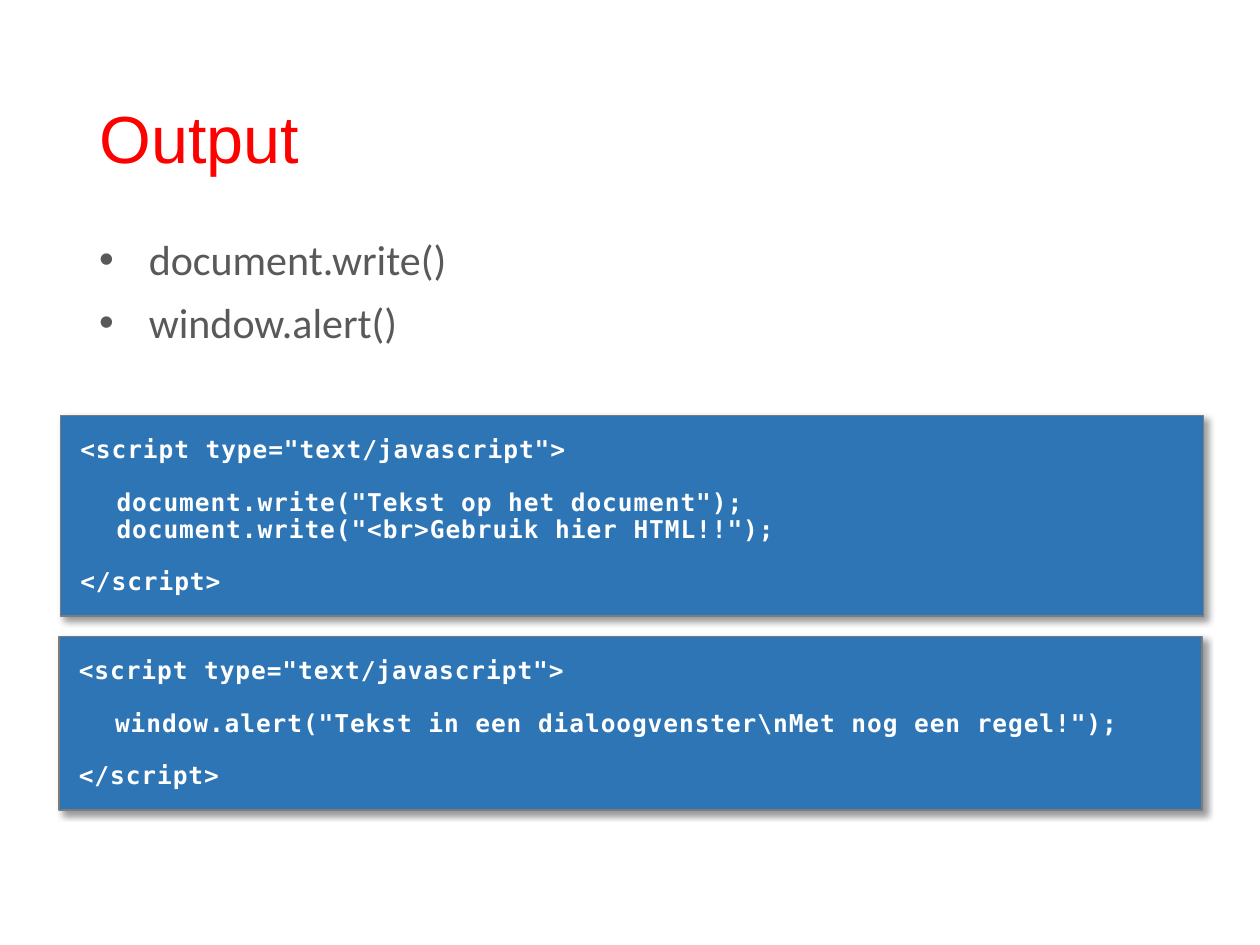
from lxml.etree import SubElement
from pptx import Presentation
from pptx.dml.color import RGBColor
from pptx.enum.shapes import MSO_SHAPE
from pptx.enum.text import MSO_ANCHOR, MSO_AUTO_SIZE, PP_ALIGN
from pptx.oxml.ns import qn
from pptx.util import Cm, Pt

RED = RGBColor(0xFF, 0x00, 0x00)
GREY = RGBColor(0x59, 0x59, 0x59)
BLUE = RGBColor(0x2E, 0x75, 0xB6)
EDGE = RGBColor(0x7C, 0x7C, 0x7C)
WHITE = RGBColor(0xFF, 0xFF, 0xFF)

OPEN, CLOSE = '<script type="text/javascript">', "</script>"
WRITE_LINES = [
    (OPEN, 0, 0),
    ('document.write("Tekst op het document");', 1, 15),
    ('document.write("<br>Gebruik hier HTML!!");', 1, 0),
    (CLOSE, 0, 15),
]
ALERT_LINES = [
    (OPEN, 0, 0),
    (r'window.alert("Tekst in een dialoogvenster\nMet nog een regel!");', 1, 15),
    (CLOSE, 0, 15),
]


def add_run(p, text, font, size, color, bold=False):
    """Add one formatted run to a paragraph."""
    p.line_spacing = 0.9
    r = p.add_run()
    r.text = text
    r.font.name = font
    r.font.size = Pt(size)
    r.font.bold = bold
    r.font.color.rgb = color
    return r


def next_paragraph(tf, i):
    """Return the first paragraph, or a new one after it."""
    return tf.add_paragraph() if i else tf.paragraphs[0]


def set_title(s, text):
    """Place and format the title placeholder."""
    title = s.shapes.title
    title.left, title.top = Cm(1.75), Cm(1.02)
    title.width, title.height = Cm(21.9), Cm(3.68)
    tf = title.text_frame
    tf.auto_size = MSO_AUTO_SIZE.NONE
    tf.vertical_anchor = MSO_ANCHOR.MIDDLE
    p = tf.paragraphs[0]
    p.alignment = PP_ALIGN.LEFT
    add_run(p, text, "Arial", 38, RED)


def add_bullets(s, items):
    """Add a text box with a bulleted list."""
    sp = s.shapes.add_textbox(Cm(1.75), Cm(4.7), Cm(21.9), Cm(5.33))
    tf = sp.text_frame
    tf.word_wrap = True
    for i, text in enumerate(items):
        p = next_paragraph(tf, i)
        p.space_before = Pt(10)
        add_run(p, text, "Calibri", 24, GREY)
        pPr = p._p.get_or_add_pPr()
        pPr.set("marL", str(Cm(1)))
        pPr.set("indent", str(-Cm(1)))
        SubElement(pPr, qn("a:buFont"), typeface="Arial")
        SubElement(pPr, qn("a:buChar"), char="•")


def add_shadow(sp):
    """Give a shape a soft shadow to the lower right."""
    sp.shadow.inherit = False
    effects = sp._element.spPr.find(qn("a:effectLst"))
    shadow = SubElement(effects, qn("a:outerShdw"), blurRad=str(Pt(4)),
                        dist=str(Pt(3)), dir="2700000", algn="tl", rotWithShape="0")
    color = SubElement(shadow, qn("a:srgbClr"), val="000000")
    SubElement(color, qn("a:alpha"), val="40000")


def add_code(s, left, top, height, lines):
    """Add a code panel from (text, indent level, space before) lines."""
    sp = s.shapes.add_shape(MSO_SHAPE.RECTANGLE, left, top, Cm(23.04), height)
    sp.fill.solid()
    sp.fill.fore_color.rgb = BLUE
    sp.line.color.rgb = EDGE
    sp.line.width = Pt(0.75)
    add_shadow(sp)
    tf = sp.text_frame
    tf.word_wrap = True
    tf.vertical_anchor = MSO_ANCHOR.BOTTOM
    tf.margin_left = tf.margin_right = tf.margin_top = tf.margin_bottom = Cm(0.4)
    for i, (text, level, gap) in enumerate(lines):
        p = next_paragraph(tf, i)
        p.alignment = PP_ALIGN.LEFT
        p.space_before = Pt(gap)
        p._p.get_or_add_pPr().set("marL", str(level * Cm(0.73)))
        r = add_run(p, text, "DejaVu Sans Mono", 14, WHITE, bold=True)
        r.font._element.set("spc", "50")


def main():
    """Build the slide and save it."""
    prs = Presentation()
    prs.slide_width, prs.slide_height = Cm(25.4), Cm(19.05)
    s = prs.slides.add_slide(prs.slide_layouts[5])
    set_title(s, "Output")
    add_bullets(s, ["document.write()", "window.alert()"])
    add_code(s, Cm(1.19), Cm(12.83), Cm(3.5), ALERT_LINES)
    add_code(s, Cm(1.22), Cm(8.38), Cm(4.04), WRITE_LINES)
    prs.save("out.pptx")


if __name__ == "__main__":
    main()
